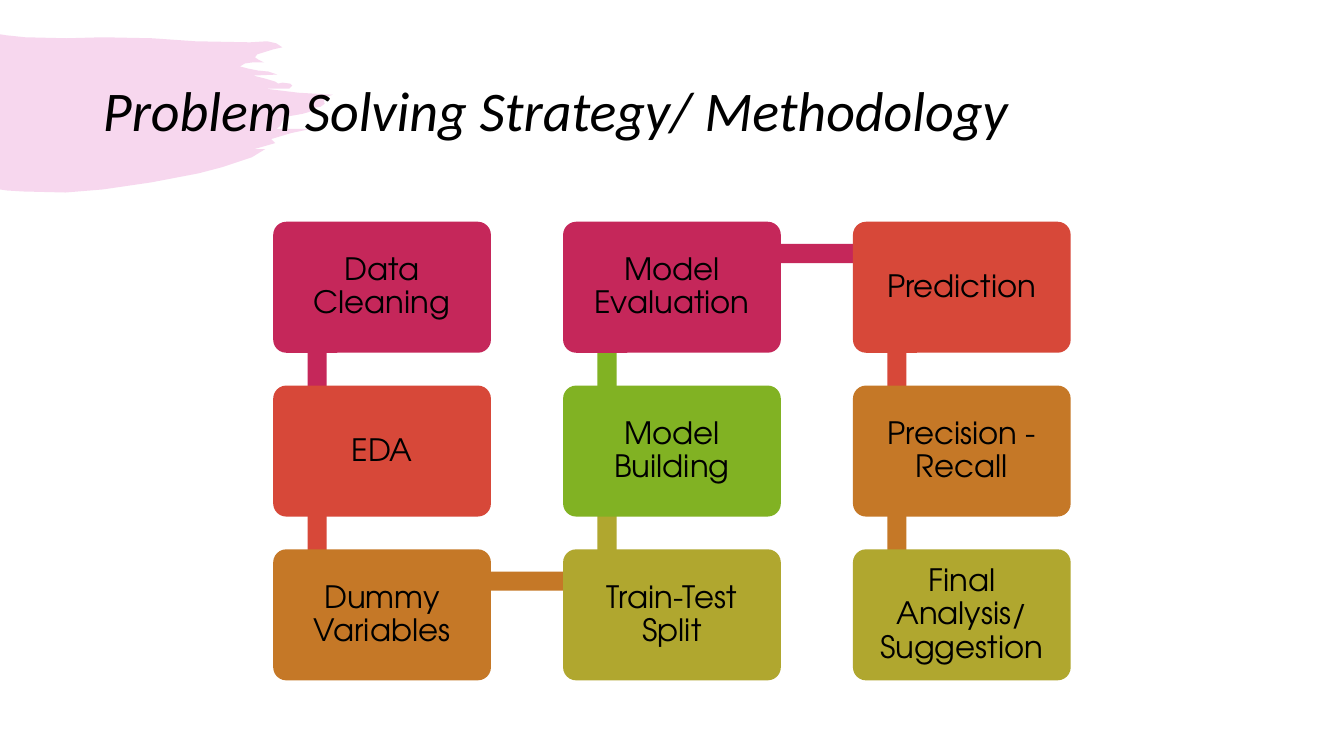
from lxml.etree import SubElement
from pptx import Presentation
from pptx.dml.color import RGBColor
from pptx.enum.shapes import MSO_SHAPE
from pptx.enum.text import MSO_ANCHOR, MSO_AUTO_SIZE, PP_ALIGN
from pptx.oxml.ns import qn
from pptx.util import Inches, Pt

COLORS = {
    "brush": "D739AE",
    "text": "000000",
    "pink": "C5275A",
    "red": "D74839",
    "orange": "C57827",
    "olive": "B0A72F",
    "green": "81B223",
}

# Steps in reading order of the process: label, colour, column, row
STEPS = [
    ("Data Cleaning", "pink", 0, 0),
    ("EDA", "red", 0, 1),
    ("Dummy Variables", "orange", 0, 2),
    ("Train-Test Split", "olive", 1, 2),
    ("Model Building", "green", 1, 1),
    ("Model Evaluation", "pink", 1, 0),
    ("Prediction", "red", 2, 0),
    ("Precision - Recall", "orange", 2, 1),
    ("Final Analysis/ Suggestion", "olive", 2, 2),
]

# Grid of steps, in inches: first and last corners set the equal steps
GRID_LEFT, GRID_TOP = 2.71, 2.2
COLUMN_STEP = (8.46 - GRID_LEFT) / 2
ROW_STEP = (5.45 - GRID_TOP) / 2
BOX_WIDTH, BOX_HEIGHT = 2.16, 1.3
BAR_THICKNESS = 0.19
BAR_INSET_X, BAR_INSET_Y = 0.34, 0.22

# Outline of the brush stroke, in hundredths of an inch
BRUSH_OUTLINE = [
    (0, 34), (6, 35), (25, 37), (66, 38), (102, 37), (151, 38), (194, 41),
    (248, 42), (265, 41), (274, 43), (280, 47), (271, 49), (255, 54),
    (253, 57), (256, 59), (262, 62), (250, 62), (243, 63), (238, 66),
    (246, 68), (256, 70), (266, 71), (275, 74), (251, 75), (263, 78),
    (273, 81), (276, 83), (280, 82), (288, 83), (290, 85), (287, 88),
    (284, 88), (263, 88), (296, 92), (330, 94), (321, 97), (322, 103),
    (318, 106), (311, 107), (307, 111), (300, 113), (283, 116), (280, 120),
    (278, 125), (274, 128), (308, 128), (289, 132), (269, 138), (273, 142),
    (252, 148), (263, 148), (250, 156), (220, 166), (197, 172), (150, 181),
    (102, 188), (65, 191), (23, 190), (7, 189), (0, 188),
]


def paint(shape, color):
    shape.shadow.inherit = False
    shape.fill.solid()
    shape.fill.fore_color.rgb = RGBColor.from_string(COLORS[color])
    shape.line.fill.background()


def write(para, text, font, size, italic=False):
    para.line_spacing = 0.9
    span = para.add_run()
    span.text = text
    span.font.name = font
    span.font.size = Pt(size)
    span.font.italic = italic
    span.font.color.rgb = RGBColor.from_string(COLORS["text"])


def add_brush(page):
    builder = page.shapes.build_freeform(*BRUSH_OUTLINE[0], scale=Inches(0.01))
    builder.add_line_segments(BRUSH_OUTLINE[1:], close=True)
    brush = builder.convert_to_shape()
    paint(brush, "brush")
    color = brush.fill._xPr.find(qn("a:solidFill"))[0]
    SubElement(color, qn("a:alpha"), val="20000")
    # Send behind the title
    page.shapes._spTree.insert(2, brush._element)


def set_title(page, text):
    title = page.shapes.title
    title.left, title.top = Inches(0.92), Inches(0.4)
    title.width, title.height = Inches(11.5), Inches(1.45)
    frame = title.text_frame
    frame.auto_size = MSO_AUTO_SIZE.NONE
    frame.vertical_anchor = MSO_ANCHOR.MIDDLE
    para = frame.paragraphs[0]
    para.alignment = PP_ALIGN.LEFT
    write(para, text, "Calibri", 40, italic=True)


def corner(column, row):
    return GRID_LEFT + column * COLUMN_STEP, GRID_TOP + row * ROW_STEP


def add_bar(page, step, following):
    """Link two neighbouring steps with a bar in the first one's colour."""
    _, color, column, row = step
    _, _, next_column, next_row = following
    left, top = corner(min(column, next_column), min(row, next_row))
    if row == next_row:
        width, height = COLUMN_STEP, BAR_THICKNESS
    else:
        width, height = BAR_THICKNESS, ROW_STEP
    bar = page.shapes.add_shape(
        MSO_SHAPE.RECTANGLE, Inches(left + BAR_INSET_X),
        Inches(top + BAR_INSET_Y), Inches(width), Inches(height))
    paint(bar, color)


def add_step(page, step):
    label, color, column, row = step
    left, top = corner(column, row)
    box = page.shapes.add_shape(
        MSO_SHAPE.ROUNDED_RECTANGLE, Inches(left), Inches(top),
        Inches(BOX_WIDTH), Inches(BOX_HEIGHT))
    box.adjustments[0] = 0.1
    paint(box, color)
    frame = box.text_frame
    frame.word_wrap = True
    frame.vertical_anchor = MSO_ANCHOR.MIDDLE
    frame.margin_left = frame.margin_right = Inches(0.12)
    frame.margin_top = frame.margin_bottom = Inches(0.12)
    para = frame.paragraphs[0]
    para.alignment = PP_ALIGN.CENTER
    write(para, label, "TeX Gyre Adventor", 22)


def main():
    deck = Presentation()
    deck.slide_width, deck.slide_height = Inches(13.33), Inches(7.5)
    page = deck.slides.add_slide(deck.slide_layouts[5])

    # Heading
    add_brush(page)
    set_title(page, "Problem Solving Strategy/ Methodology")

    # Process: bars first, so the boxes cover their ends
    for step, following in zip(STEPS, STEPS[1:]):
        add_bar(page, step, following)
    for step in STEPS:
        add_step(page, step)

    deck.save("out.pptx")


if __name__ == "__main__":
    main()
